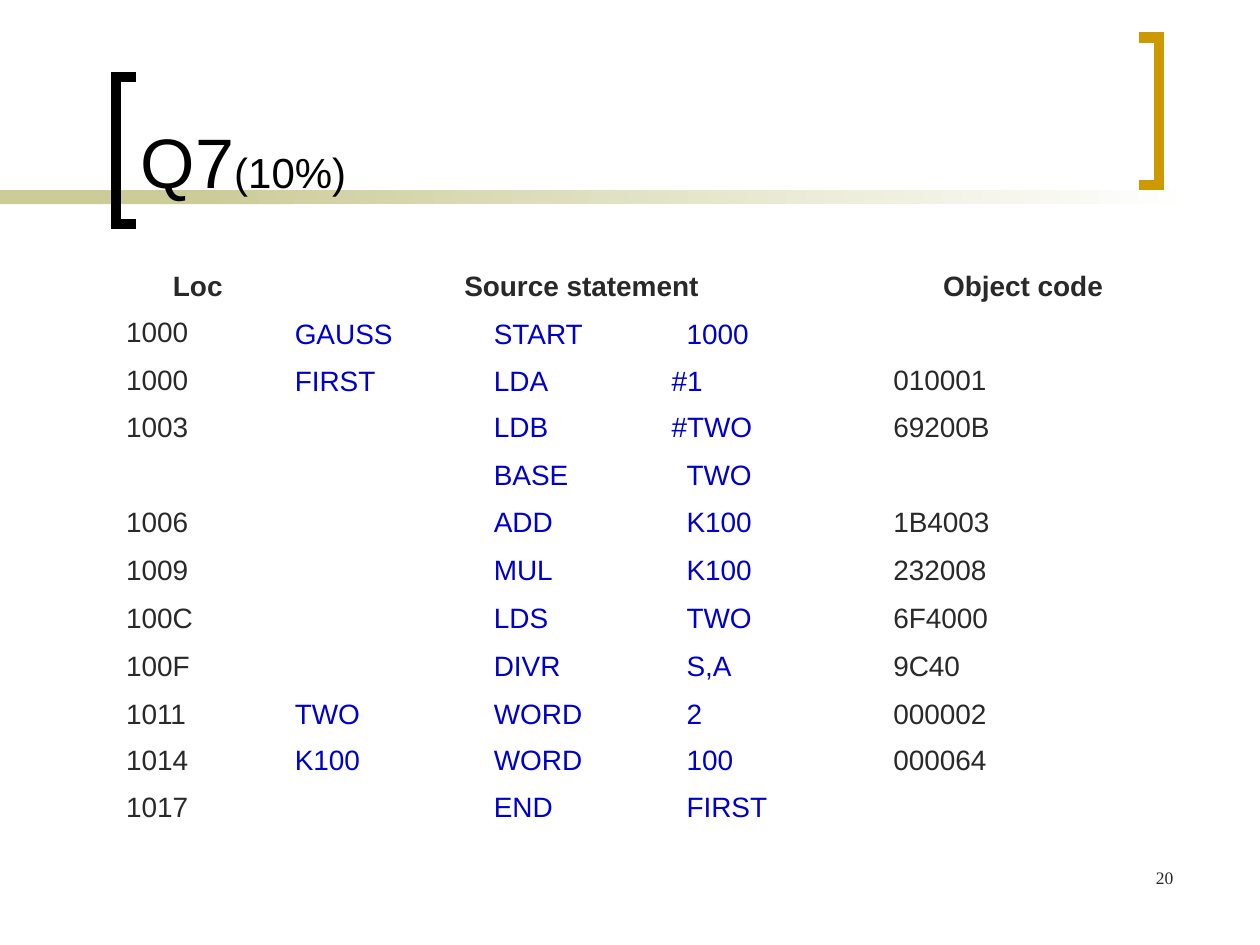
from lxml import etree
from pptx import Presentation
from pptx.dml.color import RGBColor
from pptx.enum import shapes, text
from pptx.oxml.ns import qn
from pptx.util import Inches, Pt

COLORS = {"title": "000000", "body": "292929", "code": "0000CC",
          "band": "CCCC99", "gold": "CC9900", "white": "FFFFFF"}
TITLE = [("Q7", 40), ("(10%)", 24)]
PAGE_NUMBER = "20"
HEADER = ["Loc", "Source statement", "", "", "Object code"]
LISTING = [
    ("1000", "GAUSS", "START", "1000", ""),
    ("1000", "FIRST", "LDA", "#1", "010001"),
    ("1003", "", "LDB", "#TWO", "69200B"),
    ("", "", "BASE", "TWO", ""),
    ("1006", "", "ADD", "K100", "1B4003"),
    ("1009", "", "MUL", "K100", "232008"),
    ("100C", "", "LDS", "TWO", "6F4000"),
    ("100F", "", "DIVR", "S,A", "9C40"),
    ("1011", "TWO", "WORD", "2", "000002"),
    ("1014", "K100", "WORD", "100", "000064"),
    ("1017", "", "END", "FIRST", ""),
]
COLUMN_WIDTHS = [1.34, 1.58, 1.41, 1.76, 2.26]
SOURCE_COLUMNS = (1, 2, 3)
OPERAND_COLUMN = 3
MIDDLE_ROWS = (1, 2)
HASH_WIDTH = 0.12
BRACKETS = [
    ("title", [(1.08, 1.78), (0.92, 1.78), (0.92, 0.61), (1.08, 0.61)]),
    ("gold", [(9.04, 0.3), (9.2, 0.3), (9.2, 1.47), (9.04, 1.47)]),
]


def color(name):
    return RGBColor.from_string(COLORS[name])


def add_text(para, words, size=16, tint="body", font="Arial", bold=False,
             align=text.PP_ALIGN.LEFT):
    para.alignment = align
    span = para.add_run()
    span.text = words
    span.font.size = Pt(size)
    span.font.name = font
    span.font.bold = bold
    span.font.color.rgb = color(tint)


def add_box(page, left, top, width, height, anchor):
    box = page.shapes.add_textbox(Inches(left), Inches(top), Inches(width), Inches(height))
    box.text_frame.word_wrap = True
    box.text_frame.vertical_anchor = anchor
    return box.text_frame.paragraphs[0]


def add_band(page, left, width, fades):
    band = page.shapes.add_shape(shapes.MSO_SHAPE.RECTANGLE, Inches(left), Inches(1.51),
                                 Inches(width), Inches(0.11))
    band.shadow.inherit = False
    band.line.fill.background()
    if fades:
        band.fill.gradient()
        band.fill.gradient_angle = 0
        for stop, name in zip(band.fill.gradient_stops, ("band", "white")):
            stop.color.rgb = color(name)
    else:
        band.fill.solid()
        band.fill.fore_color.rgb = color("band")


def add_bracket(page, tint, points):
    start, *corners = [(Inches(x), Inches(y)) for x, y in points]
    builder = page.shapes.build_freeform(*start)
    builder.add_line_segments(corners, close=False)
    bracket = builder.convert_to_shape()
    bracket.shadow.inherit = False
    bracket.fill.background()
    bracket.line.color.rgb = color(tint)
    bracket.line.width = Pt(6)
    etree.SubElement(bracket.line._get_or_add_ln(), qn("a:miter"), lim="800000")


def fill_cell(cell, words, row, column):
    cell.fill.background()
    para = cell.text_frame.paragraphs[0]
    if not words:
        etree.SubElement(para._p, qn("a:endParaRPr"), sz="1600")
    elif row == 0:
        add_text(para, words, bold=True, align=text.PP_ALIGN.CENTER)
    else:
        in_source = column in SOURCE_COLUMNS
        add_text(para, words, tint="code" if in_source else "body")
        if in_source and row in MIDDLE_ROWS:
            cell.vertical_anchor = text.MSO_ANCHOR.MIDDLE
        if column == OPERAND_COLUMN and not words.startswith("#"):
            cell.margin_left = Inches(0.1 + HASH_WIDTH)


def add_listing(page):
    rows = [HEADER, *LISTING]
    frame = page.shapes.add_table(len(rows), len(COLUMN_WIDTHS), Inches(0.9), Inches(2.1),
                                  Inches(sum(COLUMN_WIDTHS)), Inches(4.4))
    table = frame.table
    table.first_row = False
    table.horz_banding = False
    for column, width in zip(table.columns, COLUMN_WIDTHS):
        column.width = Inches(width)
    table.cell(0, SOURCE_COLUMNS[0]).merge(table.cell(0, SOURCE_COLUMNS[-1]))
    for row, entries in enumerate(rows):
        has_gap = row > 0 and "" in entries
        table.rows[row].height = Inches(0.38 if has_gap else 0.37)
        for column, words in enumerate(entries):
            fill_cell(table.cell(row, column), words, row, column)


def main():
    deck = Presentation()
    deck.slide_width, deck.slide_height = Inches(10), Inches(7.5)
    page = deck.slides.add_slide(deck.slide_layouts[6])
    add_band(page, 0, 2.33, fades=False)
    add_band(page, 1.58, 7.92, fades=True)
    for tint, points in BRACKETS:
        add_bracket(page, tint, points)
    title = add_box(page, 1.02, 0.11, 7.83, 1.55, text.MSO_ANCHOR.BOTTOM)
    for words, size in TITLE:
        add_text(title, words, size=size, tint="title")
    add_listing(page)
    number = add_box(page, 7.33, 6.83, 2.08, 0.5, text.MSO_ANCHOR.TOP)
    add_text(number, PAGE_NUMBER, size=10, font="Times New Roman", align=text.PP_ALIGN.RIGHT)
    deck.save("out.pptx")


if __name__ == "__main__":
    main()
